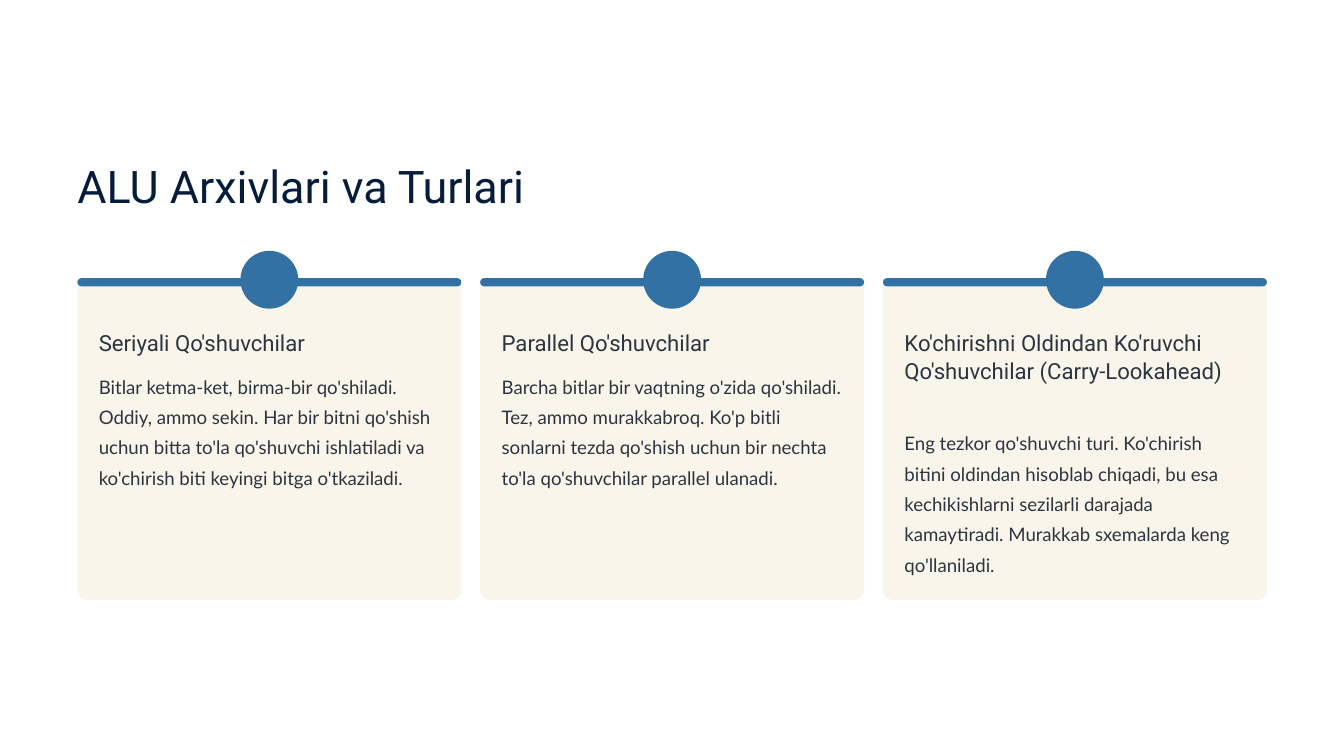
from pptx import Presentation
from pptx.dml.color import RGBColor
from pptx.enum.shapes import MSO_SHAPE as Shape
from pptx.enum.text import MSO_ANCHOR as Anchor, MSO_AUTO_SIZE as AutoSize, PP_ALIGN as Align
from pptx.util import Cm, Pt

NAVY = RGBColor(0x05, 0x1D, 0x3A)
SLATE = RGBColor(0x2B, 0x35, 0x41)
BLUE = RGBColor(0x33, 0x71, 0xA5)
CREAM = RGBColor(0xFA, 0xF5, 0xEB)

MARGIN = Cm(2.34)
CARD_TOP = Cm(8.46)
CARD_WIDTH = Cm(11.61)
CARD_HEIGHT = Cm(9.68)
CARD_PITCH = Cm(12.18)
ONE_LINE = Cm(0.86)
TWO_LINES = Cm(2.57)

ADDERS = [
    ("Seriyali Qo'shuvchilar", ONE_LINE,
     "Bitlar ketma-ket, birma-bir qo'shiladi. Oddiy, ammo sekin. Har bir bitni "
     "qo'shish uchun bitta to'la qo'shuvchi ishlatiladi va ko'chirish biti "
     "keyingi bitga o'tkaziladi."),
    ("Parallel Qo'shuvchilar", ONE_LINE,
     "Barcha bitlar bir vaqtning o'zida qo'shiladi. Tez, ammo murakkabroq. Ko'p "
     "bitli sonlarni tezda qo'shish uchun bir nechta to'la qo'shuvchilar "
     "parallel ulanadi."),
    ("Ko'chirishni Oldindan Ko'ruvchi Qo'shuvchilar (Carry-Lookahead)", TWO_LINES,
     "Eng tezkor qo'shuvchi turi. Ko'chirish bitini oldindan hisoblab chiqadi, bu "
     "esa kechikishlarni sezilarli darajada kamaytiradi. Murakkab sxemalarda "
     "keng qo'llaniladi."),
]


def write_text(shape, text, font_name, size, color, line_spacing):
    frame = shape.text_frame
    frame.word_wrap = True
    frame.auto_size = AutoSize.NONE
    frame.vertical_anchor = Anchor.TOP
    frame.margin_left = frame.margin_right = frame.margin_top = frame.margin_bottom = 0
    frame.text = text
    paragraph = frame.paragraphs[0]
    paragraph.alignment = Align.LEFT
    paragraph.line_spacing = Pt(line_spacing)
    paragraph.font.name = font_name
    paragraph.font.size = Pt(size)
    paragraph.font.color.rgb = color


def add_filled(slide, preset, left, top, width, height, color):
    shape = slide.shapes.add_shape(preset, left, top, width, height)
    shape.shadow.inherit = False
    shape.fill.solid()
    shape.fill.fore_color.rgb = color
    shape.line.fill.background()
    return shape


def add_title(slide, left, top, width, height):
    title = slide.shapes.title
    title.left, title.top, title.width, title.height = left, top, width, height
    write_text(title, "ALU Arxivlari va Turlari", "Roboto", 38.5, NAVY, 48.5)


def add_card(slide, left, top, width, height, heading, heading_height, description):
    card = add_filled(slide, Shape.ROUNDED_RECTANGLE, left, top, width, height, CREAM)
    card.adjustments[0] = 0.032
    bar = add_filled(slide, Shape.ROUNDED_RECTANGLE, left, top - Cm(0.05), width, Cm(0.25), BLUE)
    bar.adjustments[0] = 0.5
    diameter = Cm(1.75)
    add_filled(slide, Shape.OVAL, left + (width - diameter) // 2, top - diameter // 2,
               diameter, diameter, BLUE)

    padding = Cm(0.65)
    text_left, text_width = left + padding, width - 2 * padding
    heading_top = top + Cm(1.47)
    heading_box = slide.shapes.add_textbox(text_left, heading_top, text_width, heading_height)
    write_text(heading_box, heading, "Roboto", 19, SLATE, 24)
    description_top = heading_top + heading_height + Cm(0.33)
    description_box = slide.shapes.add_textbox(text_left, description_top, text_width, Cm(4.65))
    write_text(description_box, description, "Lato", 16, SLATE, 26)


def main():
    presentation = Presentation()
    presentation.slide_width = Cm(40.64)
    presentation.slide_height = Cm(22.86)
    slide = presentation.slides.add_slide(presentation.slide_layouts[5])
    add_title(slide, MARGIN, Cm(4.72), Cm(14.55), Cm(1.7))
    for index, adder in enumerate(ADDERS):
        add_card(slide, MARGIN + index * CARD_PITCH, CARD_TOP, CARD_WIDTH, CARD_HEIGHT, *adder)
    presentation.save("out.pptx")


if __name__ == "__main__":
    main()
